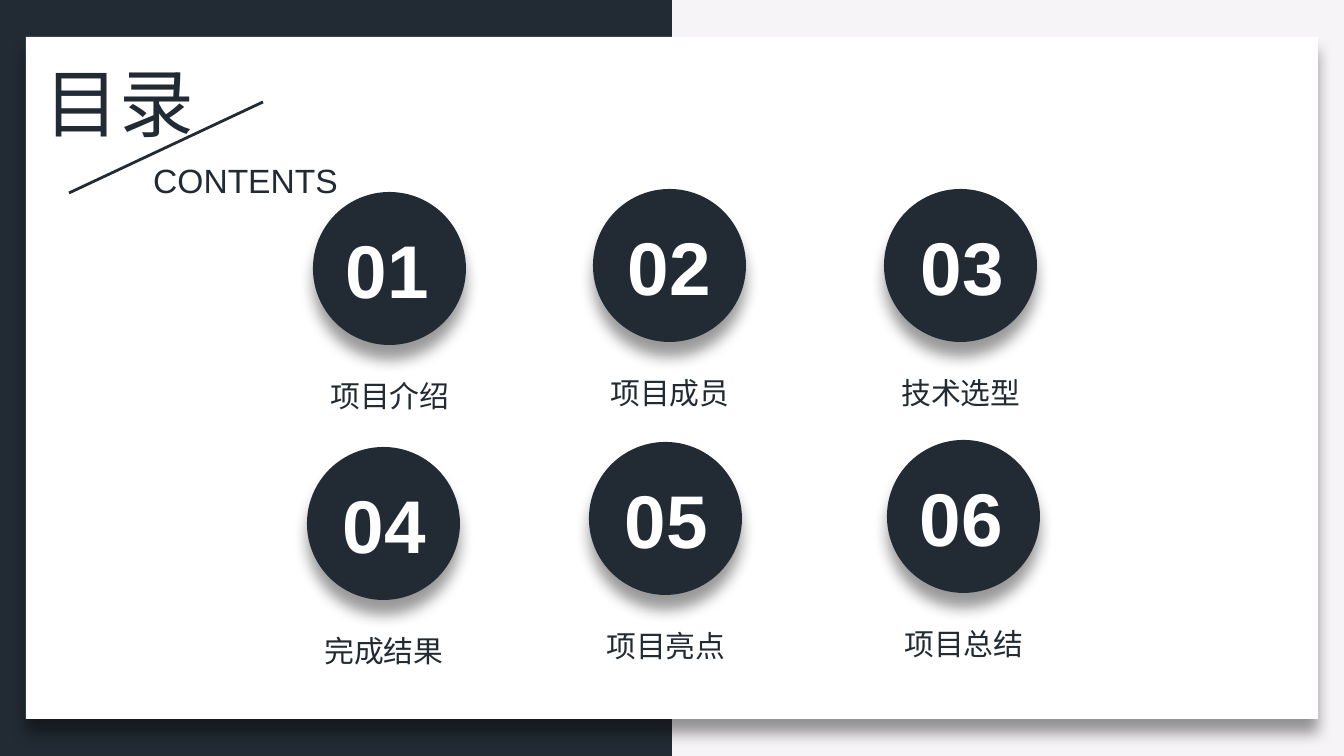
"""Build the contents slide with six numbered topics."""
import pptx
import pptx.util
import pptx.dml.color
import pptx.enum.shapes
import pptx.enum.text
import pptx.oxml
import pptx.oxml.ns
from lxml import etree

TOPICS = [
    ("01", "项目介绍", 313, 192, 331),
    ("02", "项目成员", 593, 189, 613),
    ("03", "技术选型", 884, 189, 906),
    ("04", "完成结果", 307, 447, 328),
    ("05", "项目亮点", 589, 442, 610),
    ("06", "项目总结", 887, 440, 905),
]
THEME = {
    "dark": "222B34", "pale": "F6F4F7", "white": "FFFFFF",
    "head": ("Calibri", 40), "sub": ("Arial", 18),
    "count": ("Arial", 40), "label": ("Noto Sans CJK SC", 16),
}
SHAPE = pptx.enum.shapes.MSO_SHAPE
ALIGN = pptx.enum.text.PP_ALIGN
NS = pptx.oxml.ns.nsdecls("a")
SHADOW = (
    f'<a:effectLst {NS}><a:outerShdw blurRad="101600" dist="101600" '
    'dir="5400000" algn="t" rotWithShape="0"><a:srgbClr val="000000">'
    '<a:alpha val="40000"/></a:srgbClr></a:outerShdw></a:effectLst>'
)


def px(num):
    return pptx.util.Emu(round(num * 914400 / 134.4))


def tint(name):
    return pptx.dml.color.RGBColor.from_string(THEME[name])


def block(slide, kind, box, color, shade=True):
    shape = slide.shapes.add_shape(kind, *map(px, box))
    shape.fill.solid()
    shape.fill.fore_color.rgb = tint(color)
    shape.line.fill.background()
    shape.shadow.inherit = False
    if shade:
        props = shape._element.spPr
        props.remove(props.find(pptx.oxml.ns.qn("a:effectLst")))
        props.append(pptx.oxml.parse_xml(SHADOW))
    return shape


def write(shape, text, style, color="dark", align=ALIGN.LEFT, bold=False):
    frame = shape.text_frame
    frame.word_wrap = False
    frame.auto_size = pptx.enum.text.MSO_AUTO_SIZE.SHAPE_TO_FIT_TEXT
    frame.vertical_anchor = pptx.enum.text.MSO_ANCHOR.TOP
    para = frame.paragraphs[0]
    para.alignment = align
    para.line_spacing = 1.0
    para.space_before = pptx.util.Pt(0)
    run = para.add_run()
    run.text = text
    face, size = THEME[style]
    run.font.name = face
    run.font.size = pptx.util.Pt(size)
    run.font.bold = bold
    run.font.color.rgb = tint(color)
    if style == "label":
        east = etree.SubElement(run.font._element, pptx.oxml.ns.qn("a:ea"))
        east.set("typeface", face)


def label(slide, box, *args, **extra):
    write(slide.shapes.add_textbox(*map(px, box)), *args, **extra)


def header(slide):
    title = slide.shapes.title
    title.left, title.top, title.width, title.height = map(px, (31, 50, 177, 103))
    write(title, "目录", "head")
    slide.shapes._spTree.append(title._element)
    line = slide.shapes.add_connector(
        pptx.enum.shapes.MSO_CONNECTOR.STRAIGHT, *map(px, (263, 102, 69, 193)))
    line.line.color.rgb = tint("dark")
    line.line.width = pptx.util.Pt(1.5)
    etree.SubElement(line._element.spPr, pptx.oxml.ns.qn("a:effectLst"))
    label(slide, (140, 153, 214, 54), "CONTENTS", "sub")


def main():
    deck = pptx.Presentation()
    deck.slide_width, deck.slide_height = px(1344), px(756)
    slide = deck.slides.add_slide(deck.slide_layouts[5])
    slide.background.fill.solid()
    slide.background.fill.fore_color.rgb = tint("pale")
    block(slide, SHAPE.RECTANGLE, (0, 0, 672, 756), "dark", shade=False)
    block(slide, SHAPE.RECTANGLE, (26, 37, 1292, 682), "white")
    header(slide)
    for count, name, left, top, inset in TOPICS:
        block(slide, SHAPE.OVAL, (left, top, 153, 153), "dark")
        label(slide, (inset, top + 25, 112, 103), count, "count", "white",
              ALIGN.CENTER, bold=True)
        label(slide, (left + 3, top + 179, 148, 50), name, "label",
              align=ALIGN.CENTER)
    deck.save("out.pptx")


if __name__ == "__main__":
    main()
